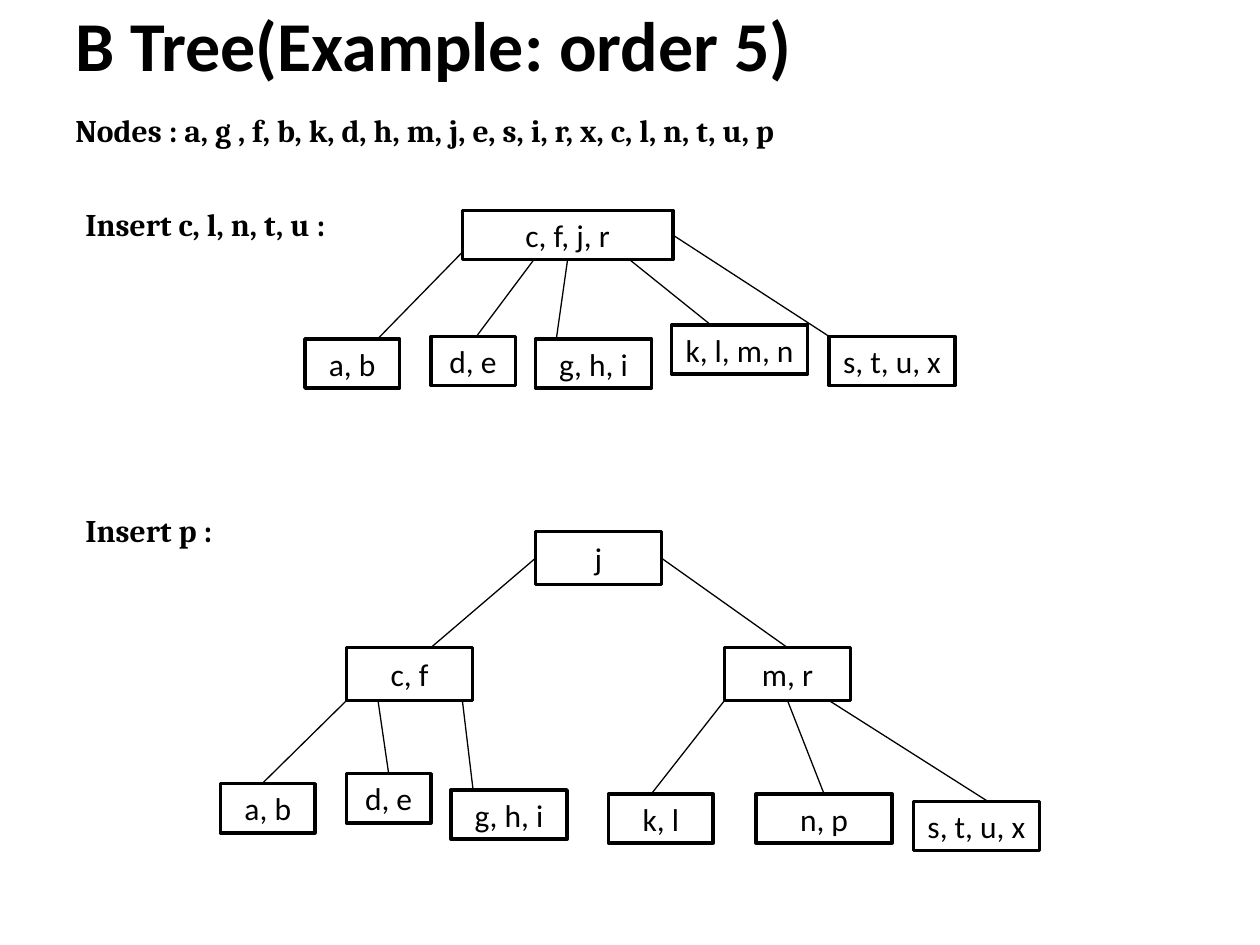
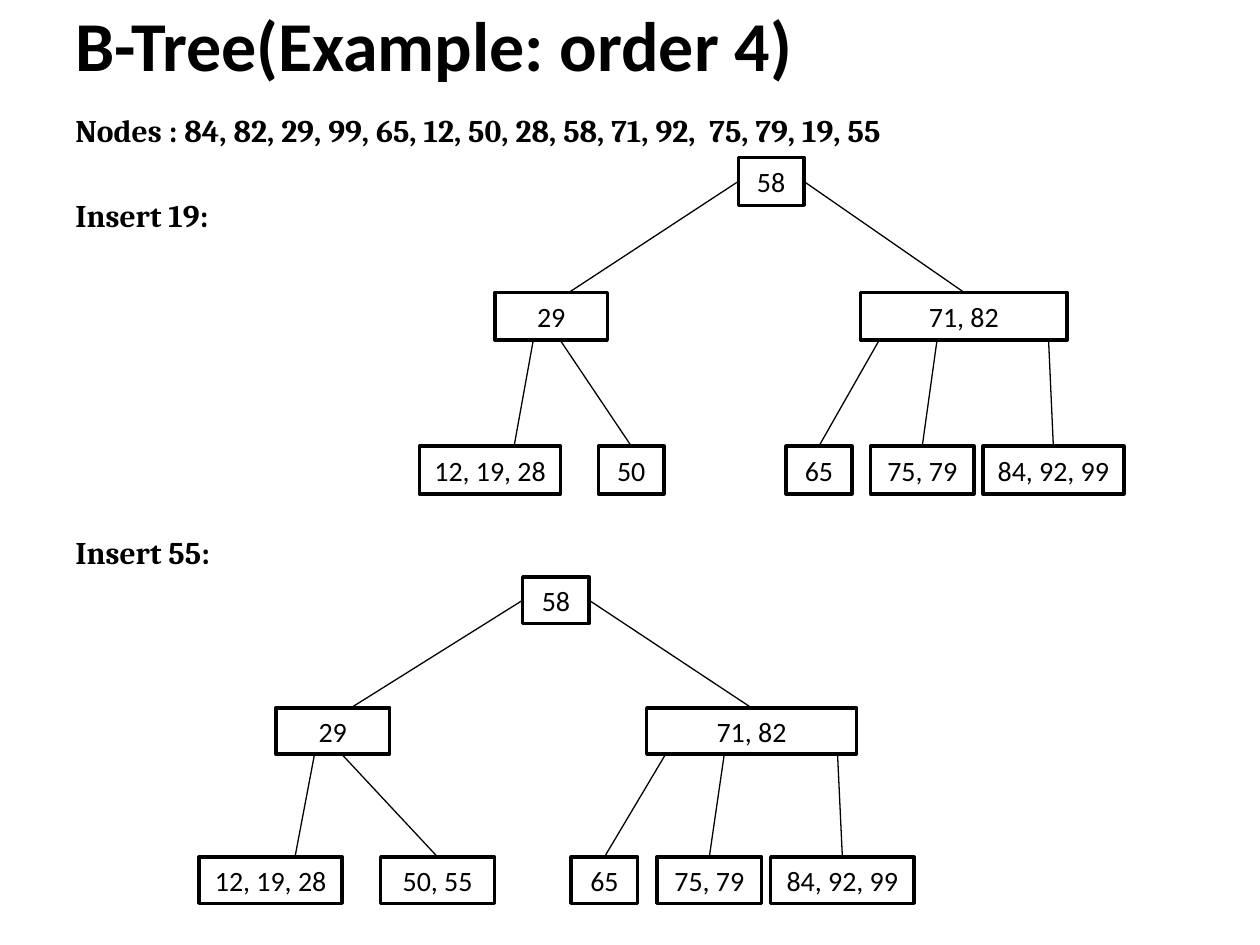
"""Build two slides that show how a B-tree grows as keys are inserted."""
from lxml.etree import SubElement
from pptx import Presentation
from pptx.dml.color import RGBColor
from pptx.enum.shapes import MSO_CONNECTOR as Link, MSO_SHAPE as Shape
from pptx.enum.text import MSO_ANCHOR as Anchor, PP_ALIGN as Align
from pptx.oxml.ns import qn
from pptx.util import Inches, Pt

INK, PAPER = "000000", "FFFFFF"
SANS, SERIF = "Calibri", "Cambria"
WIDE, TALL = 10, 7.5
MARGIN = 0.5

# Node: text, left, top, width, height, then its link to the parent:
# parent index, share across and down the parent, share across the node.
ROW = 0.39
FIVE_KEYS = [
    ("c, f, j, r", 3.67, 1.67, 1.67, ROW, None),
    ("a, b", 2.42, 2.69, 0.75, ROW, (0, 0, 0.85, 0.77)),
    ("d, e", 3.42, 2.67, 0.67, ROW, (0, 0.34, 1, 0.54)),
    ("g, h, i", 4.25, 2.69, 0.92, ROW, (0, 0.5, 1, 0.18)),
    ("k, l, m, n", 5.33, 2.58, 1.08, ROW, (0, 0.75, 0.85, 0.29)),
    ("s, t, u, x", 6.58, 2.67, 1, ROW, (0, 1, 0.5, 0)),
]
KEY_P = [
    ("j", 4.25, 4.22, 1, 0.42, None),
    ("c, f", 2.75, 5.14, 1, 0.42, (0, 0, 0.5, 0.67)),
    ("m, r", 5.75, 5.14, 1, 0.42, (0, 1, 0.5, 0.5)),
    ("a, b", 1.75, 6.22, 0.75, ROW, (1, 0, 1, 0.44)),
    ("d, e", 2.75, 6.14, 0.67, ROW, (1, 0.25, 1, 0.5)),
    ("g, h, i", 3.58, 6.27, 0.92, ROW, (1, 0.92, 1, 0.19)),
    ("k, l", 4.83, 6.3, 0.83, ROW, (2, 0, 1, 0.41)),
    ("n, p", 6, 6.3, 1.08, ROW, (2, 0.5, 1, 0.5)),
    ("s, t, u, x", 7.25, 6.36, 1, ROW, (2, 0.83, 1, 0.59)),
]


def number_tree(left, top, across, down, leaf, leaf_wide):
    """Return the order 4 tree at a corner, scaled, with its changing leaf."""
    mid, low, high = 1.07, 2.29, 0.38
    nodes = [
        ("58", 2.53, 0, 0.52, None),
        ("29", 0.6, mid, 0.89, (0, 0, 0.5, 0.66)),
        ("71, 82", 3.5, mid, 1.64, (0, 1, 0.5, 0.5)),
        ("12, 19, 28", 0, low, 1.12, (1, 0.34, 1, 0.67)),
        (leaf, 1.42, low, leaf_wide, (1, 0.58, 1, 0.5)),
        ("65", 2.91, low, 0.52, (2, 0.09, 1, 0.5)),
        ("75, 79", 3.58, low, 0.82, (2, 0.37, 1, 0.5)),
        ("84, 92, 99", 4.47, low, 1.12, (2, 0.91, 1, 0.5)),
    ]
    return [(text, left + x * across, top + y * down, w * across, high * down, link)
            for text, x, y, w, link in nodes]


SLIDES = [
    {"title": "B Tree(Example: order 5)",
     "nodes": "Nodes : a, g , f, b, k, d, h, m, j, e, s, i, r, x, c, l, n, t, u, p",
     "size": 18,
     "steps": [("Insert c, l, n, t, u :", 0.58, 1.58, FIVE_KEYS),
               ("Insert p :", 0.58, 4.01, KEY_P)]},
    {"title": "B-Tree(Example: order 4)",
     "nodes": "Nodes : 84, 82, 29, 99, 65, 12, 50, 28, 58, 71, 92,  75, 79, 19, 55",
     "size": 16,
     "steps": [("Insert 19:", MARGIN, 1.51,
                number_tree(3.33, 1.25, 1, 1, "50", 0.52)),
               ("Insert 55:", MARGIN, 4.18,
                number_tree(1.58, 4.58, 1.015, 0.97, "50, 55", 0.89))]},
]


def color(code):
    """Turn a hex string into a colour."""
    return RGBColor.from_string(code)


def write(shape, text, size, face, bold=False, align=Align.LEFT, anchor=Anchor.TOP):
    """Put one styled run into a shape."""
    frame = shape.text_frame
    frame.word_wrap = True
    frame.vertical_anchor = anchor
    para = frame.paragraphs[0]
    para.alignment = align
    run = para.add_run()
    run.text = text
    font = run.font
    font.size, font.name, font.bold = Pt(size), face, bold
    font.color.rgb = color(INK)


def label(slide, text, box, size=18, face=SERIF, anchor=Anchor.TOP):
    """Add a bold line of text."""
    shape = slide.shapes.add_textbox(*map(Inches, box))
    write(shape, text, size, face, True, anchor=anchor)


def draw_link(slide, start, end):
    """Draw a thin line between two points."""
    line = slide.shapes.add_connector(Link.STRAIGHT, *map(Inches, start + end))
    line.line.color.rgb = color(INK)
    line.line.width = Pt(0.75)
    SubElement(line._element.spPr, qn("a:effectLst"))


def draw_node(slide, text, box, size):
    """Draw one framed node."""
    shape = slide.shapes.add_shape(Shape.RECTANGLE, *map(Inches, box))
    shape.shadow.inherit = False
    shape.fill.solid()
    shape.fill.fore_color.rgb = color(PAPER)
    shape.line.color.rgb = color(INK)
    shape.line.width = Pt(2)
    write(shape, text, size, SANS, align=Align.CENTER, anchor=Anchor.MIDDLE)


def draw_tree(slide, nodes, size):
    """Draw the links of a tree, then its nodes above them."""
    for _, left, top, wide, _, link in nodes:
        if link:
            up, across, down, share = link
            _, x, y, w, h, _ = nodes[up]
            draw_link(slide, (x + across * w, y + down * h),
                      (left + share * wide, top))
    for text, *box, _ in nodes:
        draw_node(slide, text, box, size)


def main():
    """Build and save the deck."""
    deck = Presentation()
    deck.slide_width, deck.slide_height = Inches(WIDE), Inches(TALL)
    for page in SLIDES:
        slide = deck.slides.add_slide(deck.slide_layouts[6])
        label(slide, page["title"], (MARGIN, 0.08, 9.25, 0.53), 40, SANS, Anchor.MIDDLE)
        label(slide, page["nodes"], (MARGIN, 0.83, 9.08, 0.4))
        for text, left, top, tree in page["steps"]:
            label(slide, text, (left, top, 3, 0.4))
            draw_tree(slide, tree, page["size"])
    deck.save("out.pptx")


if __name__ == "__main__":
    main()
